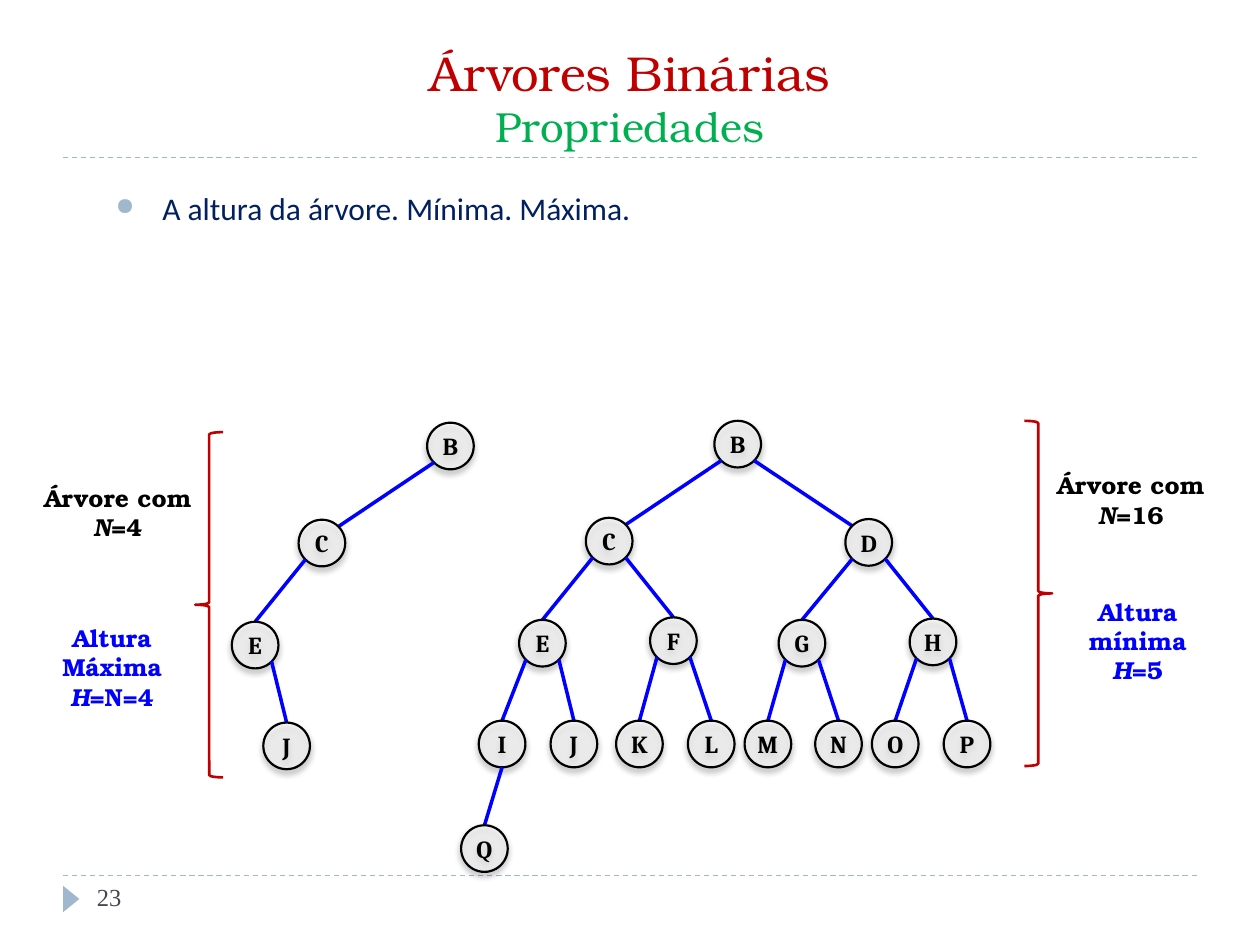
import math

from lxml import etree
from pptx import Presentation
from pptx import util as u
from pptx.dml.color import RGBColor
from pptx.enum import dml, shapes, text
from pptx.oxml import parse_xml
from pptx.oxml.ns import nsdecls, qn

COLORS = {"title": "C00000", "subtitle": "00B050", "body": "002060",
          "accent": "9FB8CD", "number": "464653", "ink": "000000",
          "edge": "0000FF", "brace": "C00000", "node": "FFFFFF"}
SERIF = "TeX Gyre Bonum"

# The slide is a grid of 100 columns by 75 rows; boxes are left, top, width, height
COLUMNS, ROWS = 100, 75
WIDTH, HEIGHT = u.Inches(10), u.Inches(7.5)
NODE = 3.7

# Each node: left and top within the tree's box, and its parent
NODES = {
    "B": (20.1, 0, None), "C": (9.9, 7.7, "B"), "D": (30.5, 7.8, "B"),
    "E": (4.6, 15.8, "C"), "F": (15, 15.6, "C"),
    "G": (25.2, 15.8, "D"), "H": (35.6, 15.7, "D"),
    "I": (1.4, 23.8, "E"), "J": (7.1, 23.8, "E"),
    "K": (12.3, 23.8, "F"), "L": (18, 23.8, "F"),
    "M": (22.5, 23.8, "G"), "N": (28.1, 23.8, "G"),
    "O": (32.6, 23.8, "H"), "P": (38.3, 23.8, "H"),
    "Q": (0, 32.1, "I"),
}


def column(value):
    return round(WIDTH * value / COLUMNS)


def row(value):
    return round(HEIGHT * value / ROWS)


def place(box):
    left, top, width, height = box
    return column(left), row(top), column(width), row(height)


def color(name):
    return RGBColor.from_string(COLORS[name])


def style(run, size, font, name, bold=False, italic=False):
    run.font.size = u.Pt(size)
    run.font.name = font
    run.font.color.rgb = color(name)
    run.font.bold = bold
    run.font.italic = italic


def add_text(slide, box, anchor=text.MSO_ANCHOR.TOP):
    frame = slide.shapes.add_textbox(*place(box)).text_frame
    frame.word_wrap = True
    frame.vertical_anchor = anchor
    return frame


def add_line(slide, start, end, name, width, dashed=False):
    connector = slide.shapes.add_connector(
        shapes.MSO_CONNECTOR.STRAIGHT, column(start[0]), row(start[1]),
        column(end[0]), row(end[1]))
    connector.line.color.rgb = color(name)
    connector.line.width = u.Pt(width)
    if dashed:
        connector.line.dash_style = dml.MSO_LINE.DASH
    etree.SubElement(connector._element.spPr, qn("a:effectLst"))


def add_header(slide, box):
    left, top, width, height = box
    frame = add_text(slide, box, text.MSO_ANCHOR.BOTTOM)
    frame.text = "Árvores Binárias\vPropriedades"
    paragraph = frame.paragraphs[0]
    paragraph.alignment = text.PP_ALIGN.CENTER
    title, subtitle = paragraph.runs
    style(title, 28, SERIF, "title")
    style(subtitle, 24, SERIF, "subtitle")
    bottom = top + height
    add_line(slide, (left, bottom), (left + width, bottom), "accent", 0.75, True)


def add_body(slide, box):
    frame = add_text(slide, box)
    frame.text = "A altura da árvore. Mínima. Máxima."
    paragraph = frame.paragraphs[0]
    paragraph.alignment = text.PP_ALIGN.JUSTIFY
    properties = paragraph._p.get_or_add_pPr()
    properties.set("marL", str(u.Inches(0.37)))
    properties.set("indent", str(-u.Inches(0.37)))
    for bullet in (f'<a:buClr {nsdecls("a")}><a:srgbClr val="{COLORS["accent"]}"/></a:buClr>',
                   f'<a:buSzPct {nsdecls("a")} val="76000"/>',
                   f'<a:buChar {nsdecls("a")} char="●"/>'):
        properties.append(parse_xml(bullet))
    style(paragraph.runs[0], 18, "Calibri", "body")


def add_footer(slide, box):
    left, top, width, height = box
    add_line(slide, (left, top), (left + width, top), "accent", 0.75, True)
    marker = slide.shapes.add_shape(shapes.MSO_SHAPE.ISOSCELES_TRIANGLE,
                                    *place((left - 0.4, top + 1.2, 2.1, 1.3)))
    marker.rotation = 90
    marker.shadow.inherit = False
    marker.fill.solid()
    marker.fill.fore_color.rgb = color("accent")
    marker.line.fill.background()
    frame = add_text(slide, (left + 1.7, top, 21.7, height))
    frame.text = "23"
    style(frame.paragraphs[0].runs[0], 14, "Times New Roman", "number")


def add_node(slide, box, name):
    node = slide.shapes.add_shape(shapes.MSO_SHAPE.OVAL, *place(box))
    node.fill.solid()
    node.fill.fore_color.rgb = color("node")
    fill = node._element.spPr.find(qn("a:solidFill"))
    etree.SubElement(fill[0], qn("a:alpha"), val="50000")
    node.line.color.rgb = color("ink")
    node.line.width = u.Pt(1.25)
    # Soft shadow straight below
    node._element.spPr.append(parse_xml(
        f'<a:effectLst {nsdecls("a")}><a:outerShdw blurRad="{u.Pt(3.5)}" '
        f'dist="{u.Pt(2.2)}" dir="5400000" rotWithShape="0">'
        f'<a:srgbClr val="{COLORS["ink"]}"><a:alpha val="32000"/></a:srgbClr>'
        '</a:outerShdw></a:effectLst>'))
    frame = node.text_frame
    frame.margin_left = frame.margin_right = frame.margin_top = frame.margin_bottom = 0
    frame.vertical_anchor = text.MSO_ANCHOR.MIDDLE
    frame.text = name
    frame.paragraphs[0].alignment = text.PP_ALIGN.CENTER
    style(frame.paragraphs[0].runs[0], 14, "Cambria", "ink", bold=True)


def add_tree(slide, origin, names):
    left, top = origin

    def rim(name, degrees):
        """Point on a node's rim, clockwise from the right."""
        angle = math.radians(degrees)
        return (left + NODES[name][0] + NODE / 2 * (1 + math.cos(angle)),
                top + NODES[name][1] + NODE / 2 * (1 + math.sin(angle)))

    for name in names:
        x, y, parent = NODES[name]
        if parent:
            to_right = x > NODES[parent][0]
            leave = 90 if parent == "I" else 45 if to_right else 135
            arrive = 270 if parent != "B" else 225 if to_right else 315
            add_line(slide, rim(parent, leave), rim(name, arrive), "edge", 2)
        add_node(slide, (left + x, top + y, NODE, NODE), name)


def add_caption(slide, box, heading, symbol, value, name):
    frame = add_text(slide, box, text.MSO_ANCHOR.MIDDLE)
    frame.text = heading
    formula = frame.add_paragraph()
    for part in (symbol, value):
        formula.add_run().text = part
    for paragraph in frame.paragraphs:
        paragraph.alignment = text.PP_ALIGN.CENTER
        for run in paragraph.runs:
            style(run, 14, SERIF, name, bold=True, italic=run.text == symbol)


def add_brace(slide, box, kind):
    brace = slide.shapes.add_shape(kind, *place(box))
    brace.adjustments[0] = 0.083
    brace.shadow.inherit = False
    brace.fill.background()
    brace.line.color.rgb = color("brace")
    brace.line.width = u.Pt(1.5)


def main():
    presentation = Presentation()
    presentation.slide_width, presentation.slide_height = WIDTH, HEIGHT
    slide = presentation.slides.add_slide(presentation.slide_layouts[6])

    add_header(slide, (5, 2.5, 90, 10))
    add_body(slide, (8.2, 14.5, 85, 4.3))
    add_footer(slide, (5, 69.5, 90, 4))

    # Tallest tree
    add_tree(slide, (13.8, 33.55), "BCEJ")
    add_brace(slide, (15.5, 34.3, 2.2, 27.4), shapes.MSO_SHAPE.LEFT_BRACE)
    add_caption(slide, (2.4, 37.8, 13.9, 5.7), "Árvore com", "N", "=4", "ink")
    add_caption(slide, (0.9, 48.9, 16, 8.1), "Altura Máxima", "H", "=N=4", "edge")

    # Shortest tree
    add_tree(slide, (36.6, 33.4), NODES)
    add_brace(slide, (81.3, 33.4, 2.2, 27.4), shapes.MSO_SHAPE.RIGHT_BRACE)
    add_caption(slide, (82.8, 36.8, 13.9, 5.7), "Árvore com", "N", "=16", "ink")
    add_caption(slide, (82.3, 46.8, 16, 8.1), "Altura mínima", "H", "=5", "edge")

    presentation.save("out.pptx")


if __name__ == "__main__":
    main()
